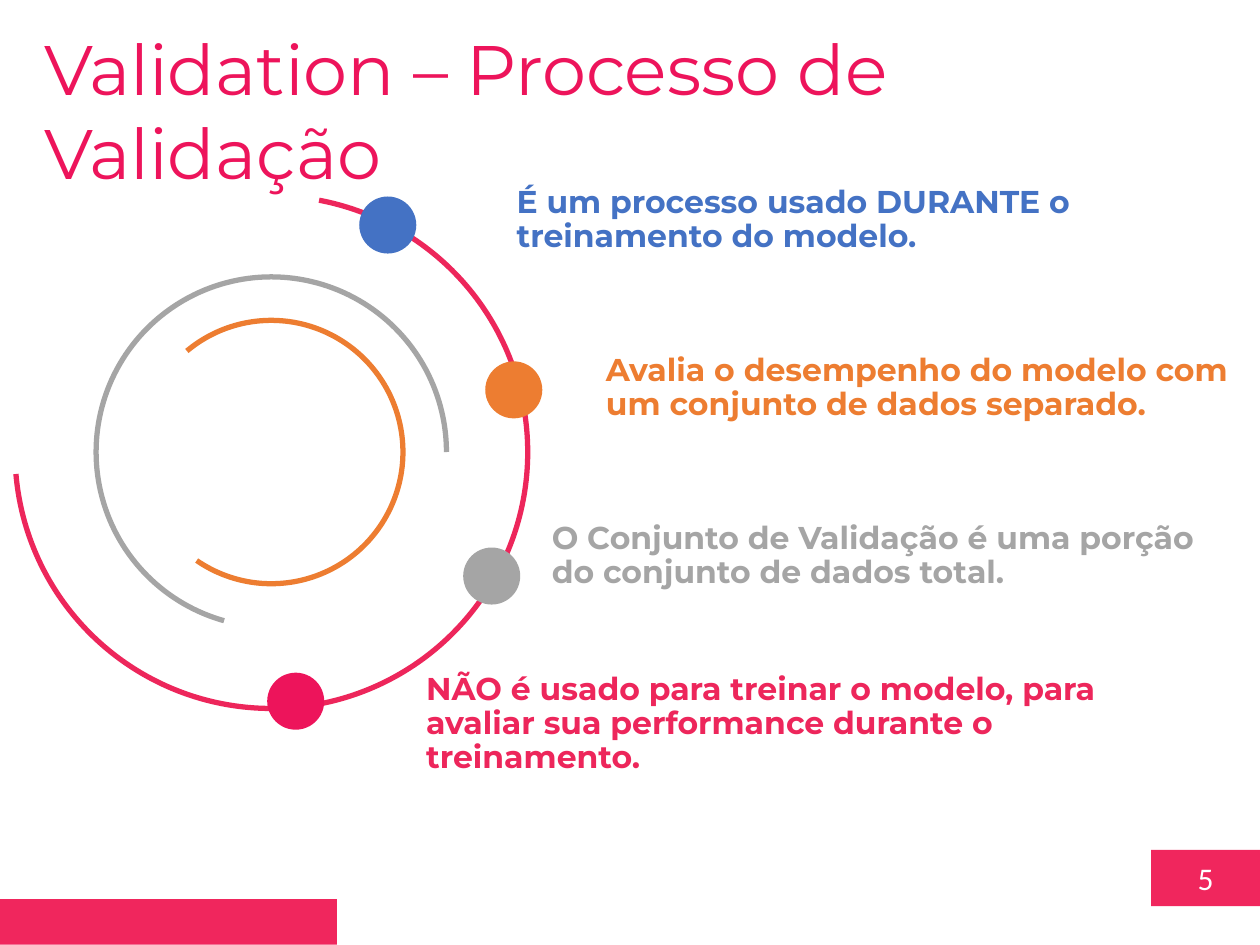
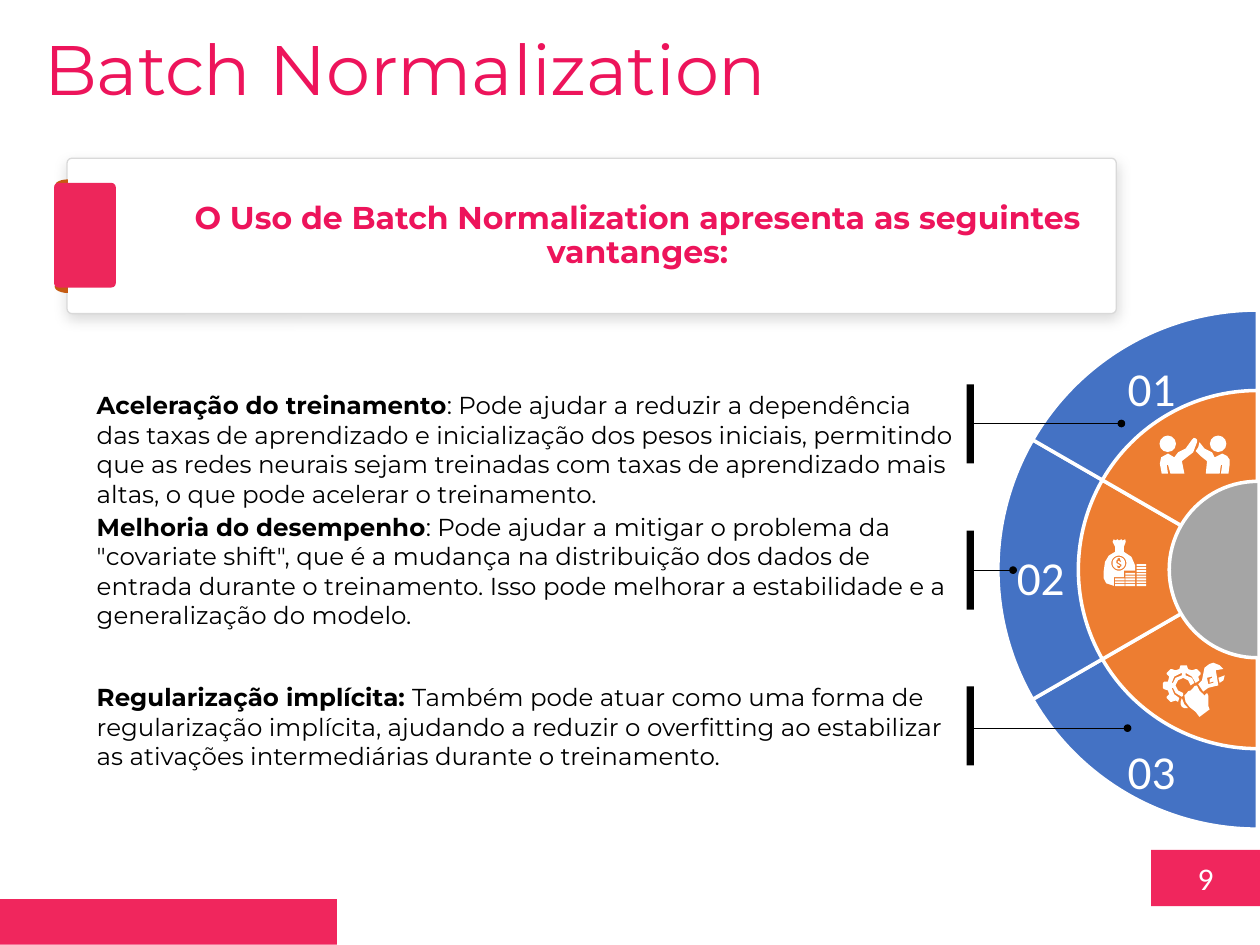
import math

from lxml import etree
from pptx import Presentation
from pptx.dml.color import RGBColor
from pptx.enum import shapes, text
from pptx.oxml import ns
from pptx.util import Pt

# Colours
PINK = RGBColor(0xED, 0x14, 0x5B)
ROSE = RGBColor(0xED, 0x26, 0x5B)
BAND = RGBColor(0xF0, 0x26, 0x5D)
BLUE = RGBColor(0x44, 0x72, 0xC4)
ORANGE = RGBColor(0xED, 0x7D, 0x31)
RUST = RGBColor(0xC5, 0x5A, 0x11)
GRAY = RGBColor(0xA5, 0xA5, 0xA5)
LIGHT = RGBColor(0xD9, 0xD9, 0xD9)
BLACK = RGBColor(0, 0, 0)
WHITE = RGBColor(0xFF, 0xFF, 0xFF)

# Text formats
TITLE = dict(name="Montserrat", size=Pt(40), bold=False)
HEAD = dict(name="Montserrat", size=Pt(18), bold=True)
BODY = dict(name="Montserrat", size=Pt(14))
PAGE = dict(name="Calibri", size=Pt(18))
NUMBER = dict(name="Calibri", size=Pt(27))

KIND = shapes.MSO_SHAPE
LEFT, CENTER = text.PP_ALIGN.LEFT, text.PP_ALIGN.CENTER
TOP, MIDDLE = text.MSO_ANCHOR.TOP, text.MSO_ANCHOR.MIDDLE
TIGHT = (5, 2.2, 5, 2.2)
GRID = 0.72  # points per unit of the icon grid


def circle(cx, cy, r, n=28):
    return [(cx + r * math.cos(2 * math.pi * i / n),
             cy + r * math.sin(2 * math.pi * i / n)) for i in range(n)]


class Deck:
    def __init__(self):
        self.prs = Presentation()
        self.prs.slide_width, self.prs.slide_height = Pt(720), Pt(540)
        self.s = None

    def slide(self, title, page):
        self.s = self.prs.slides.add_slide(self.prs.slide_layouts[5])
        # Footer bands
        sp = self.shape(KIND.RECTANGLE, (657.8, 485.6, 62.2, 32.2), BAND)
        self.fill_text(sp, [(page, {})], PAGE, WHITE, CENTER, MIDDLE)
        self.shape(KIND.RECTANGLE, (0, 513.8, 192.5, 26), BAND)
        # Title
        sp = self.s.shapes.title
        sp.left, sp.top, sp.width, sp.height = map(Pt, (18, 10.8, 631.5, 55.4))
        self.fill_text(sp, [(title, {})], TITLE, PINK, anchor=TOP)

    def fill_text(self, sp, runs, fmt, color, align=LEFT, anchor=TOP,
                  inset=(7.2, 3.6, 7.2, 3.6), spacing=1.0, wrap=True):
        tf = sp.text_frame
        frame = dict(word_wrap=wrap, vertical_anchor=anchor,
                     auto_size=text.MSO_AUTO_SIZE.NONE)
        sides = ("margin_left", "margin_top", "margin_right", "margin_bottom")
        frame.update(zip(sides, map(Pt, inset)))
        for key, value in frame.items():
            setattr(tf, key, value)
        p = tf.paragraphs[0]
        p.alignment, p.line_spacing = align, spacing
        for words, extra in runs:
            r = p.add_run()
            r.text = words
            for key, value in {**fmt, **extra}.items():
                setattr(r.font, key, value)
            r.font.color.rgb = color

    def text(self, box, runs, fmt, color, **layout):
        sp = self.s.shapes.add_textbox(*map(Pt, box))
        self.fill_text(sp, runs, fmt, color, **layout)

    def paint(self, sp, fill=None, line=None, width=1):
        sp.shadow.inherit = False
        if fill is None:
            sp.fill.background()
        else:
            sp.fill.solid()
            sp.fill.fore_color.rgb = fill
        if line is None:
            sp.line.fill.background()
        else:
            sp.line.color.rgb, sp.line.width = line, Pt(width)

    def shape(self, kind, box, fill=None, line=None, width=1, adj=(), rot=0):
        sp = self.s.shapes.add_shape(kind, *map(Pt, box))
        for i, value in enumerate(adj):
            sp.adjustments[i] = value
        sp.rotation = rot
        self.paint(sp, fill, line, width)
        return sp

    def round(self, kind, cx, cy, d, *args, **kw):
        return self.shape(kind, (cx - d / 2, cy - d / 2, d, d), *args, **kw)

    def outline(self, *contours, fill=WHITE):
        """Filled outline on the icon grid; inner contours are holes."""
        fb = None
        for contour in contours:
            pts = [(Pt(x * GRID), Pt(y * GRID)) for x, y in contour]
            if fb is None:
                fb = self.s.shapes.build_freeform(*pts[0])
            else:
                fb.move_to(*pts[0])
            fb.add_line_segments(pts[1:], close=True)
        self.paint(fb.convert_to_shape(), fill)

    def line(self, x1, x2, y):
        ln = self.s.shapes.add_connector(
            shapes.MSO_CONNECTOR.STRAIGHT, *map(Pt, (x1, y, x2, y)))
        ln.line.color.rgb, ln.line.width = BLACK, Pt(0.5)
        etree.SubElement(ln._element.spPr, ns.qn("a:effectLst"))

    def soft_shadow(self, sp):
        effects = sp._element.spPr.find(ns.qn("a:effectLst"))
        shadow = etree.SubElement(
            effects, ns.qn("a:outerShdw"), blurRad=str(Pt(8)),
            dist=str(Pt(2)), dir="5400000", algn="t", rotWithShape="0")
        color = etree.SubElement(shadow, ns.qn("a:srgbClr"), val="000000")
        etree.SubElement(color, ns.qn("a:alpha"), val="15000")


def people_icon(d):
    for cx in (667.3, 696.1):
        d.round(KIND.OVAL, cx, 253.6, 9.4, WHITE)
    d.outline([(952, 351), (956, 356), (962, 359), (964, 363), (970, 360),
               (974, 362), (976, 365), (976, 368), (975, 376), (969, 376),
               (970, 369), (969, 369), (968, 376), (957, 376), (958, 366),
               (953, 362), (949, 358), (951, 355)])
    d.outline([(949, 348), (950, 349), (950, 351), (947, 359), (938, 366),
               (940, 376), (929, 376), (927, 369), (926, 369), (927, 376),
               (922, 376), (920.5, 368), (921.5, 363), (927, 360), (932, 363),
               (935, 359), (941, 356), (946, 349), (947.5, 347.5)])


def money_icon(d):
    # Coin stacks
    for x, w, rows in ((649.5, 5.4, 8), (643, 5.7, 5), (637.2, 5.4, 3)):
        for i in range(rows):
            d.shape(KIND.RECTANGLE, (x, 333.8 - 1.63 * i, w, 1.1), WHITE)
    # Coin with its sign cut out
    d.outline(circle(888, 447, 5), [
        (887, 443), (889, 443), (889, 444), (890, 446), (889, 446),
        (888, 445), (887, 446), (888, 447), (890, 448), (890, 449.5),
        (889, 450), (889, 451), (887, 451), (887, 450), (886, 449),
        (887, 449), (888, 449.3), (889, 449), (888, 448), (886, 447),
        (886, 445), (887, 444)])
    # Bag
    d.outline([(892, 438), (892, 434), (893.5, 430), (893, 428), (891, 429),
               (890, 428), (888, 429), (887, 428), (885, 429), (884, 428),
               (883, 430), (885, 434), (885, 438), (880, 441), (877, 446),
               (876, 453), (876, 459), (878, 463), (884, 465), (884, 458),
               (892, 458), (892, 453), (901, 453), (901, 449), (898, 442)],
              circle(888, 447, 6))


def repair_icon(d):
    # Gear
    d.outline([(938, 536), (933, 538), (931, 542), (930, 542), (932, 537),
               (938, 534)],
              [(953, 534), (950, 531), (949, 531), (946, 532), (943, 531),
               (942, 528), (937, 528), (936, 531), (933, 532), (930, 531),
               (929, 531), (926, 534), (926, 535), (928, 537), (927, 541),
               (924, 541), (923, 542), (923, 546), (924, 547), (927, 548),
               (928, 551), (926, 553), (926, 554), (929, 557), (930, 557),
               (933, 556), (935, 557), (936, 554), (932, 551), (930, 546),
               (931, 546), (933, 550), (938, 553), (939, 552), (939, 550),
               (935, 548), (933, 544), (935, 540), (939, 538), (943, 540),
               (945, 544), (948, 542), (946, 538), (941, 536), (941, 534),
               (946, 537), (949, 542), (952, 540), (951, 537), (953, 535)])
    # Wrench
    d.outline([(971, 531), (968, 528), (963, 526), (960, 527), (956, 530),
               (955, 535), (954, 540), (951, 543), (955, 549), (959, 546),
               (967, 544), (965, 532)],
              [(959, 543), (958, 538), (962, 537), (962, 538), (960, 539),
               (960, 542), (963, 541), (963, 542)])
    d.outline([(968, 542), (971, 540), (972, 536), (967, 538)])
    # Hand
    d.outline([(943, 562), (940, 559), (938, 554), (937, 557), (937, 559),
               (938, 561), (940, 562)])
    d.outline([(958, 550), (959, 552), (959, 557), (959, 560), (960, 563),
               (952, 569), (949, 565), (944, 561), (941, 557), (940, 552),
               (942, 550), (943, 548.5), (945, 548), (947, 546), (948, 544.5),
               (950, 544), (952, 548), (955, 551), (956, 552), (957, 551)])


def validation_slide(d):
    d.slide("Validation – Processo de Validação", "5")
    # Rings
    for size, rot, color in ((200.2, 0, GRAY), (150.5, 124.5, ORANGE),
                             (293, 175.1, ROSE)):
        d.round(KIND.ARC, 155, 258.3, size, line=color, width=3,
                adj=(63.376, 0), rot=rot)
    # Dots on the outer ring and their statements
    items = [
        (221.6, 128.6, BLUE, BLUE, 290.2, 421.9,
         "É um processo usado DURANTE o treinamento do modelo."),
        (293.6, 222.8, ORANGE, ORANGE, 341.3, 370.8,
         "Avalia o desempenho do modelo com um conjunto de dados separado."),
        (281, 329.2, GRAY, GRAY, 310.3, 401.8,
         "O Conjunto de Validação é uma porção do conjunto de dados total."),
        (169, 400.7, PINK, ROSE, 238.5, 452.9,
         "NÃO é usado para treinar o modelo, para avaliar sua performance "
         "durante o treinamento."),
    ]
    for i, (cx, cy, dot, color, left, width, words) in enumerate(items):
        d.round(KIND.OVAL, cx, cy, 32.6, dot)
        d.text((left, 91.4 + 96 * i, width, 69.1), [(words, {})], HEAD, color,
               anchor=MIDDLE, inset=TIGHT, spacing=0.9)


def batch_slide(d):
    d.slide("Batch Normalization", "9")
    # Half wheel
    cx, cy = 718.5, 325.5
    d.round(KIND.PIE, cx, cy + 0.5, 105, GRAY, adj=(54, 162))
    for color, depth in ((ORANGE, 0.33), (BLUE, 0.155)):
        for start in (0, 36, 72):
            d.round(KIND.BLOCK_ARC, cx, cy, 296.6, color, WHITE, 2,
                    adj=(start, start + 36, depth), rot=90)
    repair_icon(d)
    people_icon(d)
    money_icon(d)

    # Advantages: text, bar, leader line, number
    items = [
        ((219.6, 45.4), TOP, 219.6, 640.8, 242, (637.2, 201.6), "01",
         "Aceleração do treinamento",
         ": Pode ajudar a reduzir a dependência das taxas de aprendizado e "
         "inicialização dos pesos iniciais, permitindo que as redes neurais "
         "sejam treinadas com taxas de aprendizado mais altas, o que pode "
         "acelerar o treinamento."),
        ((306, 40.3), MIDDLE, 303.2, 578.9, 325.8, (573.8, 309.6), "02",
         "Melhoria do desempenho",
         ": Pode ajudar a mitigar o problema da \"covariate shift\", que é a "
         "mudança na distribuição dos dados de entrada durante o treinamento. "
         "Isso pode melhorar a estabilidade e a generalização do modelo."),
        ((392.4, 45.4), MIDDLE, 392.2, 644.3, 416.1, (637.2, 420.5), "03",
         "Regularização implícita: ",
         "Também pode atuar como uma forma de regularização implícita, "
         "ajudando a reduzir o overfitting ao estabilizar as ativações "
         "intermediárias durante o treinamento."),
    ]
    for (top, height), anchor, bar, end, y, spot, number, name, words in items:
        d.text((48.2, top, 505, height),
               [(name, dict(bold=True)), (words, dict(bold=False))],
               BODY, BLACK, anchor=anchor)
        d.shape(KIND.RECTANGLE, (552.4, bar, 4.2, 45.2), BLACK)
        d.line(555, end, y)
        d.round(KIND.OVAL, end, y, 4.4, BLACK)
        d.text((*spot, 41.8, 40.3), [(number, {})], NUMBER, WHITE,
               align=CENTER, wrap=False)

    # Heading card with its folded tab
    card = d.shape(KIND.ROUNDED_RECTANGLE, (38.3, 90.4, 599.6, 88.8), WHITE,
                   LIGHT, 0.75, adj=(0.031,))
    d.soft_shadow(card)
    d.fill_text(card, [("O Uso de Batch Normalization apresenta as seguintes "
                        "vantanges:", {})], HEAD, PINK, CENTER, MIDDLE,
                inset=(58.3, 2.2, 5.8, 2.2), spacing=0.9)
    for top, adj in ((98.6, (48.634, 108)), (156.3, (0, 59.366))):
        d.shape(KIND.PIE, (35.2, top, 7.2, 15.1), RUST, adj=adj, rot=90)
    d.shape(KIND.ROUNDED_RECTANGLE, (30.9, 104.5, 35.3, 59.8), ROSE,
            adj=(0.072,))


def main():
    d = Deck()
    validation_slide(d)
    batch_slide(d)
    d.prs.save("out.pptx")


if __name__ == "__main__":
    main()
